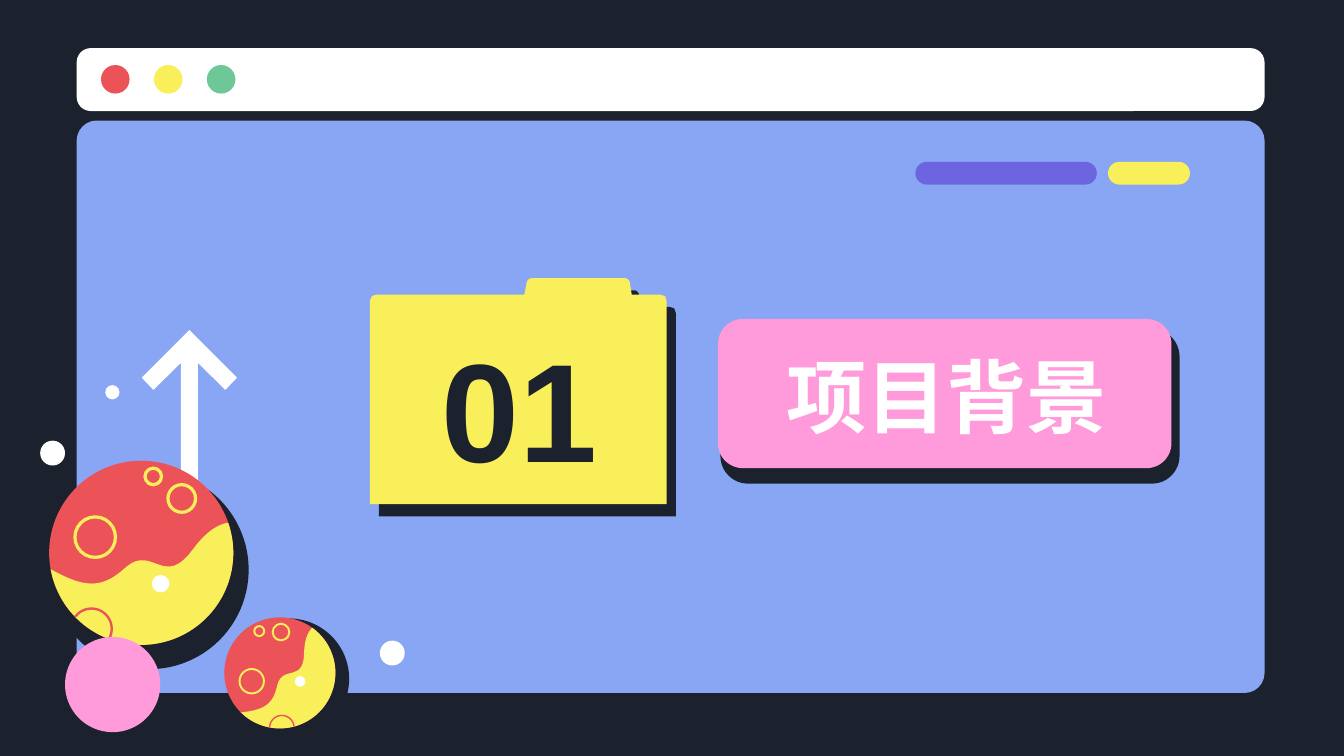
"""Build the section slide "01 项目背景" with its browser window, folder and planets."""
from dataclasses import dataclass
from math import cos, radians, sin

from lxml.etree import SubElement
from pptx import Presentation
from pptx.dml.color import RGBColor
from pptx.enum.shapes import MSO_SHAPE
from pptx.enum.text import MSO_ANCHOR, PP_ALIGN
from pptx.oxml.ns import qn
from pptx.util import Cm, Pt


@dataclass(frozen=True)
class Theme:
    dark: str = "1B222D"
    blue: str = "88A6F3"
    white: str = "FFFFFF"
    red: str = "EB5358"
    yellow: str = "F8EF5B"
    green: str = "6DC797"
    purple: str = "6D65E0"
    pink: str = "FF9BDA"
    number: int = 75
    title: int = 43


theme = Theme()
deck = Presentation()
deck.slide_width, deck.slide_height = Cm(25.4), Cm(14.29)
slide = deck.slides.add_slide(deck.slide_layouts[6])
slide.background.fill.solid()
slide.background.fill.fore_color.rgb = RGBColor.from_string(theme.dark)
shapes = slide.shapes


def paint(shape, fill, line=None, width=0):
    shape.shadow.inherit = False
    if fill:
        shape.fill.solid()
        shape.fill.fore_color.rgb = RGBColor.from_string(fill)
    else:
        shape.fill.background()
    if line:
        shape.line.color.rgb = RGBColor.from_string(line)
        shape.line.width = width
    else:
        shape.line.fill.background()
    return shape


def trace(points, close=True):
    spots = [(Cm(x), Cm(y)) for x, y in points]
    pen = shapes.build_freeform(*spots[0], scale=1.0)
    pen.add_line_segments(spots[1:], close=close)
    return pen.convert_to_shape()


bars = [
    (1.45, 2.28, 22.45, 10.82, 0.035, theme.blue, None),
    (1.45, 0.91, 22.45, 1.19, 0.223, theme.white, None),
    (17.3, 3.06, 3.43, 0.43, 0.5, theme.purple, None),
    (20.94, 3.06, 1.55, 0.43, 0.5, theme.yellow, None),
    (13.67, 6.27, 8.57, 2.82, 0.167, theme.dark, theme.dark),
    (13.57, 6.03, 8.57, 2.82, 0.167, theme.pink, None),
]
for x, y, wide, high, bend, fill, line in bars:
    bar = shapes.add_shape(MSO_SHAPE.ROUNDED_RECTANGLE, Cm(x), Cm(y), Cm(wide), Cm(high))
    bar.adjustments[0] = bend
    paint(bar, fill, line, Pt(3))

dots = [(1.91 + i, 1.23, 0.54, fill)
        for i, fill in enumerate([theme.red, theme.yellow, theme.green])]
dots += [(0.76, 8.33, 0.47, theme.white), (7.18, 12.11, 0.47, theme.white),
         (1.99, 7.28, 0.27, theme.white)]
for x, y, size, fill in dots:
    paint(shapes.add_shape(MSO_SHAPE.OVAL, Cm(x), Cm(y), Cm(size), Cm(size)), fill)

half = [(0, 6.24), (0.9, 7.14), (0.68, 7.37), (0.16, 6.86), (0.16, 10.9)]
arrow = [(3.58 + x, y) for x, y in half] + [(3.58 - x, y) for x, y in half[:0:-1]]
paint(trace(arrow), theme.white)

folder = paint(trace([
    (6.99, 9.53), (6.99, 5.69), (7.03, 5.6), (7.11, 5.57), (9.91, 5.57),
    (9.96, 5.32), (9.99, 5.28), (10.04, 5.26), (11.83, 5.26), (11.87, 5.28),
    (11.9, 5.32), (11.94, 5.57), (12.48, 5.57), (12.57, 5.6), (12.6, 5.69),
    (12.6, 9.53)]), theme.yellow)
effects = folder.element.spPr.find(qn("a:effectLst"))
shade = SubElement(effects, qn("a:outerShdw"), blurRad="0", dist="104140",
                   dir="3180000", algn="bl", rotWithShape="0")
SubElement(shade, qn("a:srgbClr"), val=theme.dark)

texts = [
    ("01", 7.65, 6.43, 4.32, 2.51, theme.number, "Arial", theme.dark),
    ("项目背景", 13.84, 6.3, 8.1, 2.34, theme.title, "Noto Sans CJK SC", theme.white),
]
for words, x, y, wide, high, size, face, ink in texts:
    frame = shapes.add_textbox(Cm(x), Cm(y), Cm(wide), Cm(high)).text_frame
    frame.word_wrap = True
    frame.vertical_anchor = MSO_ANCHOR.MIDDLE
    frame.margin_left = frame.margin_right = Cm(0.25)
    frame.margin_top = frame.margin_bottom = Cm(0.25)
    para = frame.paragraphs[0]
    para.alignment = PP_ALIGN.CENTER
    run = para.add_run()
    run.text = words
    run.font.size, run.font.bold, run.font.name = Pt(size), True, face
    run.font.color.rgb = RGBColor.from_string(ink)
    SubElement(run.font.fill._xPr, qn("a:ea"), typeface=face)

bends = [
    [(-0.98, 0.18), (-0.6, 0.39), (-0.42, 0.39), (-0.16, 0.15)],
    [(-0.16, 0.15), (0.13, -0.09), (0.25, 0.4), (0.57, -0.05)],
    [(0.57, -0.05), (0.73, -0.26), (0.85, -0.31), (0.95, -0.33)],
]
wave = []
for bend in bends:
    for t in [i / 16 for i in range(16)]:
        parts = ((1 - t) ** 3, 3 * t * (1 - t) ** 2, 3 * t * t * (1 - t), t ** 3)
        wave.append([sum(k * spot[axis] for k, spot in zip(parts, bend)) for axis in (0, 1)])
wave += [(cos(radians(a)), sin(radians(a))) for a in range(-19, 171, 3)]
crater = [(-0.54 + 0.22 * cos(radians(a)), 0.826 + 0.22 * sin(radians(a)))
          for a in range(-144, 31, 6)]
marks = [(0.13, -0.83, 0.09, None, theme.yellow), (0.44, -0.59, 0.15, None, theme.yellow),
         (-0.5, -0.17, 0.22, None, theme.yellow), (0.21, 0.335, 0.095, theme.white, None)]

planets = [(2.67, 10.45, 1.74, 0, 2.82, 10.77, 1.88),
           (5.29, 12.72, 1.05, -35.2, 5.46, 12.83, 1.14)]
for x, y, size, turn, left, top, far in planets:
    c, s = cos(radians(turn)), sin(radians(turn))
    for u, v, r, fill in [(left, top, far, theme.dark), (x, y, size, theme.red)]:
        disc = shapes.add_shape(MSO_SHAPE.OVAL, Cm(u - r), Cm(v - r), Cm(2 * r), Cm(2 * r))
        paint(disc, fill)
    land, rim = [[(x + size * (u * c - v * s), y + size * (u * s + v * c)) for u, v in line]
                 for line in (wave, crater)]
    paint(trace(land), theme.yellow)
    paint(trace(rim, False), None, theme.red, Cm(size * 0.025))
    for u, v, r, fill, line in marks:
        r *= size
        mark = shapes.add_shape(
            MSO_SHAPE.OVAL, Cm(x + size * (u * c - v * s) - r),
            Cm(y + size * (u * s + v * c) - r), Cm(2 * r), Cm(2 * r))
        paint(mark, fill, line, Cm(size * 0.035))
    if turn == 0:
        moon = shapes.add_shape(MSO_SHAPE.OVAL, Cm(1.23), Cm(12.04), Cm(1.8), Cm(1.8))
        paint(moon, theme.pink)

deck.save("out.pptx")
